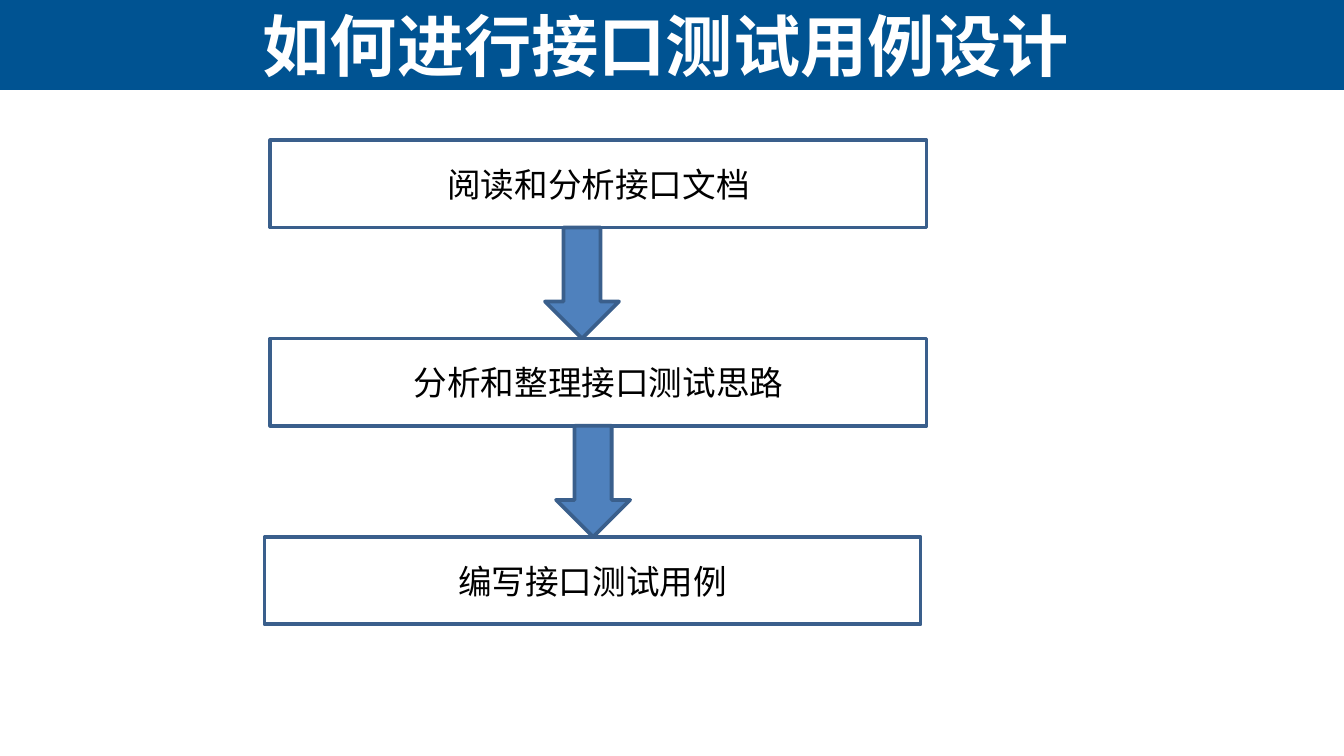
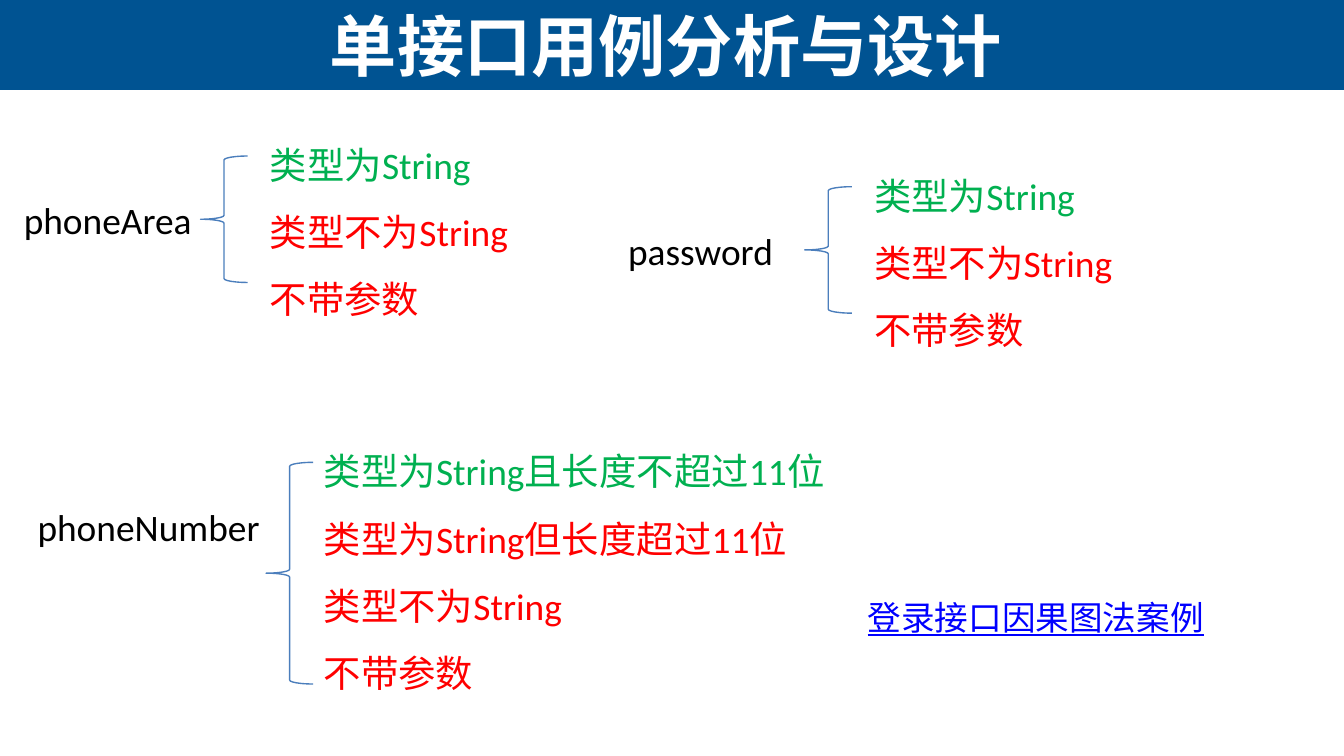
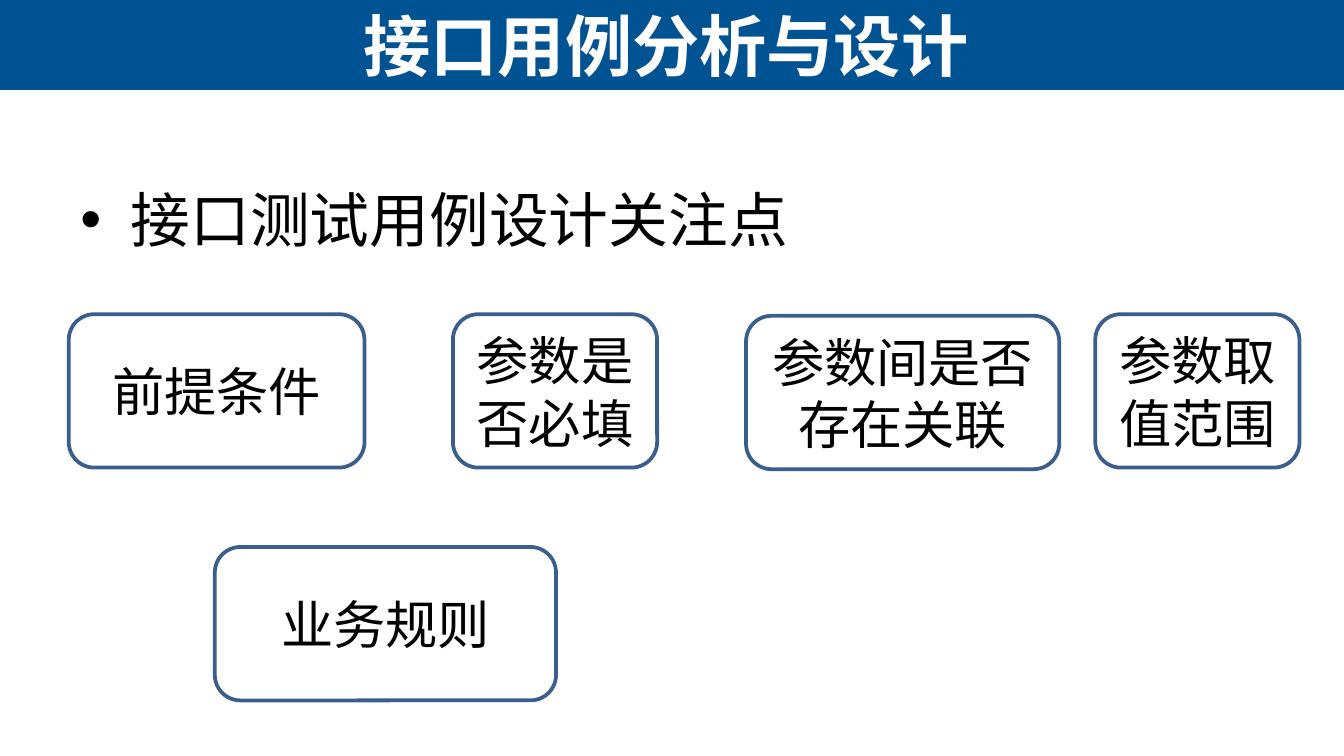
from dataclasses import dataclass

from lxml import etree
from pptx import Presentation
from pptx.dml.color import RGBColor
from pptx.enum.shapes import MSO_SHAPE
from pptx.enum.text import MSO_ANCHOR, MSO_AUTO_SIZE, PP_ALIGN
from pptx.oxml.ns import qn
from pptx.util import Cm, Pt

RECT = MSO_SHAPE.RECTANGLE
ROUND_RECT = MSO_SHAPE.ROUNDED_RECTANGLE
DOWN_ARROW = MSO_SHAPE.DOWN_ARROW
LEFT_BRACE = MSO_SHAPE.LEFT_BRACE
CENTER = PP_ALIGN.CENTER
MIDDLE = MSO_ANCHOR.MIDDLE
FIT_SHAPE = MSO_AUTO_SIZE.SHAPE_TO_FIT_TEXT
NO_FIT = MSO_AUTO_SIZE.NONE

TITLE_ONLY = 5
SLIDE_W, SLIDE_H, BAND_H = 25.4, 14.29, 1.7


@dataclass(frozen=True)
class Theme:
    # Colours
    band: str = "005392"
    title: str = "FFFFFF"
    ink: str = "000000"
    outline: str = "3A5F8C"
    arrow: str = "4F81BD"
    brace: str = "4B7EBC"
    valid: str = "00B050"
    invalid: str = "FF0000"
    link: str = "0000FF"
    # Fonts and sizes
    title_font: str = "Arial"
    body_font: str = "Calibri"
    title_size: int = 36
    bullet_size: int = 32
    card_size: int = 28
    field_size: int = 20
    step_size: int = 18
    # Line widths
    outline_width: float = 2
    brace_width: float = 0.75


class Deck:
    """Holds the style and the current slide; lengths are centimetres."""

    def __init__(self, theme):
        self.theme = theme
        self.prs = Presentation()
        self.prs.slide_width, self.prs.slide_height = Cm(SLIDE_W), Cm(SLIDE_H)
        self.slide = None

    def new_slide(self, heading):
        first = self.slide is None
        self.slide = self.prs.slides.add_slide(self.prs.slide_layouts[TITLE_ONLY])
        if first:
            self.master_band()
        title = self.slide.shapes.title
        title.left, title.top, title.width, title.height = (
            Cm(0.05), Cm(0), Cm(25.07), Cm(BAND_H))
        frame = title.text_frame
        frame.auto_size, frame.vertical_anchor = NO_FIT, MIDDLE
        paragraph = frame.paragraphs[0]
        paragraph.alignment = CENTER
        self.run(paragraph, heading, self.theme.title_size, self.theme.title,
                 font=self.theme.title_font, bold=True)

    def master_band(self):
        """Place the title band on the master, behind everything else."""
        band = self.shape(RECT, 0, 0, SLIDE_W, BAND_H, fill=self.theme.band)
        self.prs.slide_master.shapes._spTree.insert(2, band._element)

    def run(self, paragraph, text, size, color, font=None, bold=False, underline=False):
        run = paragraph.add_run()
        run.text = text
        run.font.name = font or self.theme.body_font
        run.font.size = Pt(size)
        run.font.bold = bold
        run.font.underline = underline
        run.font.color.rgb = RGBColor.from_string(color)

    def shape(self, kind, left, top, width, height, fill=None, line=None, line_width=0):
        shape = self.slide.shapes.add_shape(kind, Cm(left), Cm(top), Cm(width), Cm(height))
        shape.shadow.inherit = False
        if fill:
            shape.fill.solid()
            shape.fill.fore_color.rgb = RGBColor.from_string(fill)
        else:
            shape.fill.background()
        if line:
            shape.line.color.rgb = RGBColor.from_string(line)
            shape.line.width = Pt(line_width)
        else:
            shape.line.fill.background()
        return shape

    def box(self, kind, text, left, top, width, height, size):
        box = self.shape(kind, left, top, width, height,
                         line=self.theme.outline, line_width=self.theme.outline_width)
        box.text_frame.vertical_anchor = MIDDLE
        paragraph = box.text_frame.paragraphs[0]
        paragraph.alignment = CENTER
        self.run(paragraph, text, size, self.theme.ink)

    def arrow(self, left, top, width, height):
        self.shape(DOWN_ARROW, left, top, width, height, fill=self.theme.arrow,
                   line=self.theme.outline, line_width=self.theme.outline_width)

    def text(self, lines, left, top, width, height, size, spacing=None,
             wrap=True, fit=FIT_SHAPE, underline=False):
        """Write (text, colour) lines, one paragraph each."""
        frame = self.slide.shapes.add_textbox(
            Cm(left), Cm(top), Cm(width), Cm(height)).text_frame
        frame.word_wrap, frame.auto_size = wrap, fit
        for index, (line, color) in enumerate(lines):
            paragraph = frame.add_paragraph() if index else frame.paragraphs[0]
            paragraph.line_spacing = spacing
            self.run(paragraph, line, size, color, underline=underline)
        return frame

    def bullet(self, text, left, top, width, height):
        frame = self.text([(text, self.theme.ink)], left, top, width, height,
                          self.theme.bullet_size, fit=NO_FIT)
        properties = frame.paragraphs[0]._p.get_or_add_pPr()
        indent = Cm(0.95)
        properties.set("marL", str(indent))
        properties.set("indent", str(-indent))
        etree.SubElement(properties, qn("a:buFont")).set("typeface", "Arial")
        etree.SubElement(properties, qn("a:buChar")).set("char", "•")

    def field(self, name, cases, left, top, brace_left, brace_height,
              cases_left, cases_width):
        """A parameter name, a brace and its cases; the first case is valid."""
        theme = self.theme
        self.text([(name, theme.ink)], left, top, 5.41, 1.11, theme.field_size)
        self.shape(LEFT_BRACE, brace_left, top - 0.66, 0.89, brace_height,
                   line=theme.brace, line_width=theme.brace_width)
        lines = [(case, theme.invalid if index else theme.valid)
                 for index, case in enumerate(cases)]
        self.text(lines, cases_left, top - 1.47, cases_width,
                  1.27 * len(cases) + 0.3, theme.field_size, spacing=1.5)


def design_steps(deck):
    deck.new_slide("如何进行接口测试用例设计")
    first_top, pitch, height = 2.65, 3.75, 1.65
    steps = [("阅读和分析接口文档", 5.11),
             ("分析和整理接口测试思路", 5.11),
             ("编写接口测试用例", 5.0)]
    for index, (step, left) in enumerate(steps):
        deck.box(RECT, step, left, first_top + index * pitch, 12.4, height,
                 deck.theme.step_size)
    for index, left in enumerate((10.3, 10.51)):
        deck.arrow(left, first_top + index * pitch + height, 1.4, pitch - height)


def single_interface(deck):
    deck.new_slide("单接口用例分析与设计")
    wrong_type, missing = "类型不为String", "不带参数"
    string_cases = ["类型为String", wrong_type, missing]
    number_cases = ["类型为String且长度不超过11位", "类型为String但长度超过11位",
                    wrong_type, missing]

    # Fields that only need a string
    for name, left, top in (("phoneArea", 0.2, 3.61), ("password", 11.62, 4.19)):
        deck.field(name, string_cases, left, top, left + 3.59, 2.39, left + 4.65, 7.44)

    # Field with a length limit
    deck.field("phoneNumber", number_cases, 0.46, 9.4, 5.03, 4.19, 5.87, 11.25)

    # Case reference
    deck.text([("登录接口因果图法案例", deck.theme.link)], 16.15, 11.15, 6.93, 1.02,
              deck.theme.step_size, wrap=False, underline=True)


def focus_points(deck):
    deck.new_slide("接口用例分析与设计")
    deck.bullet("接口测试用例设计关注点", 1.27, 3.33, 22.86, 9.42)
    points = [("前提条件", 1.3, 5.94, 5.59),
              ("参数是否必填", 8.56, 5.94, 3.86),
              ("参数间是否存在关联", 14.1, 5.97, 5.92),
              ("参数取值范围", 20.7, 5.94, 3.86),
              ("业务规则", 4.06, 10.34, 6.45)]
    for point, left, top, width in points:
        deck.box(ROUND_RECT, point, left, top, width, 2.9, deck.theme.card_size)


def main():
    deck = Deck(Theme())
    design_steps(deck)
    single_interface(deck)
    focus_points(deck)
    deck.prs.save("out.pptx")


if __name__ == "__main__":
    main()
